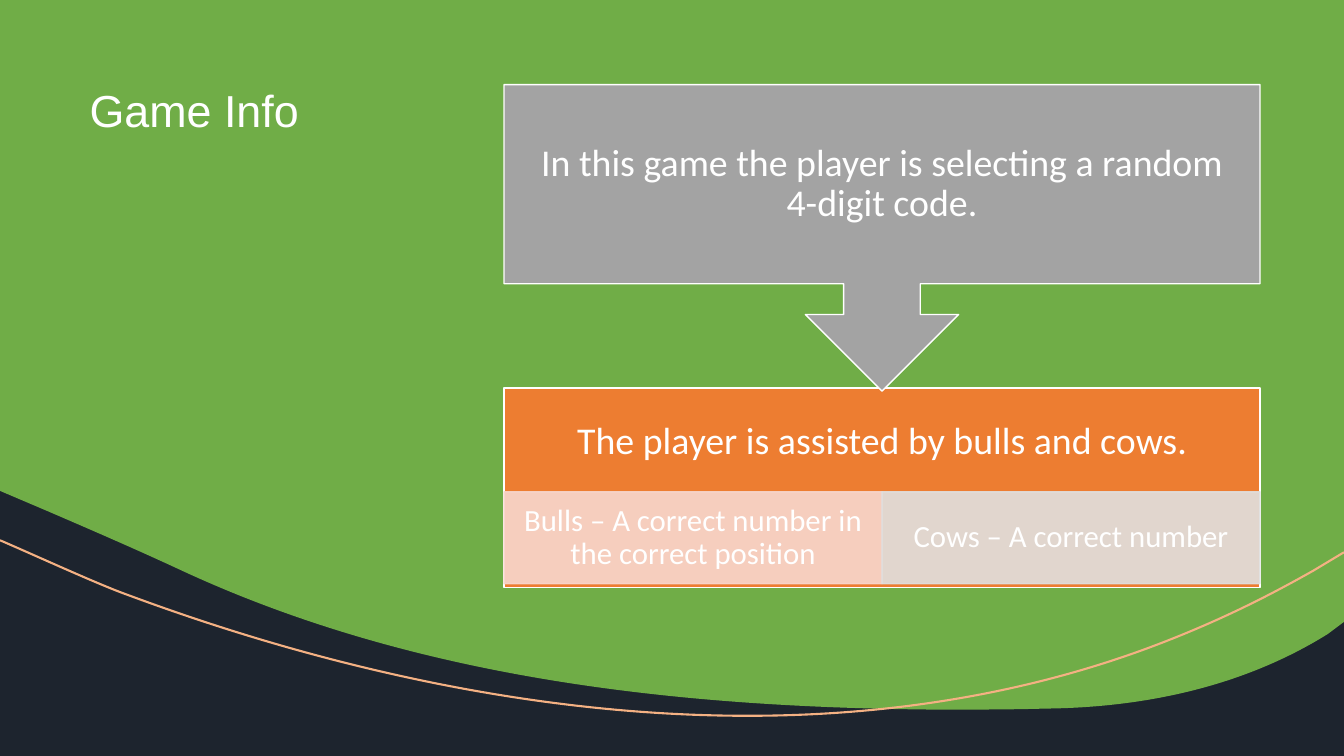
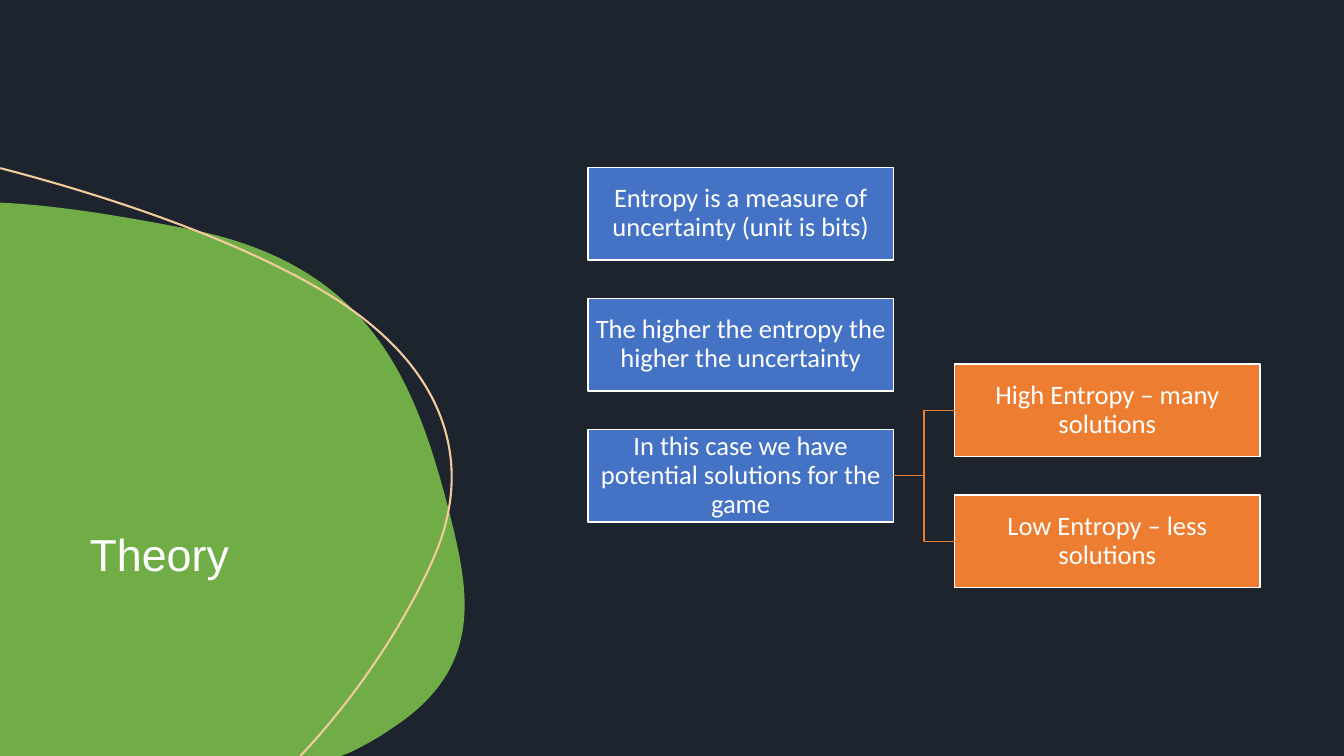
from dataclasses import dataclass

from lxml.etree import SubElement
from pptx import Presentation
from pptx.dml.color import RGBColor
from pptx.enum.shapes import MSO_CONNECTOR, MSO_SHAPE
from pptx.enum.text import MSO_ANCHOR, PP_ALIGN
from pptx.oxml.ns import qn
from pptx.util import Inches, Pt


@dataclass(frozen=True)
class Theme:
    dark: RGBColor = RGBColor.from_string("1D242E")
    green: RGBColor = RGBColor.from_string("70AD47")
    blue: RGBColor = RGBColor.from_string("4472C4")
    orange: RGBColor = RGBColor.from_string("ED7D31")
    gray: RGBColor = RGBColor.from_string("A3A3A3")
    salmon: RGBColor = RGBColor.from_string("F8D7CE")
    silver: RGBColor = RGBColor.from_string("E0E0E0")
    peach: RGBColor = RGBColor.from_string("F4B183")
    sand: RGBColor = RGBColor.from_string("F1CB9C")
    white: RGBColor = RGBColor.from_string("FFFFFF")
    title_font: str = "Arial"
    body_font: str = "Calibri"
    title_size: int = 32
    step_size: int = 27
    detail_size: int = 22
    box_size: int = 19


THEME = Theme()
WIDTH, HEIGHT = 13.33, 7.5
COLUMN = WIDTH / 16
CONTENT_LEFT, CONTENT_RIGHT = 6 * COLUMN, 15 * COLUMN


def write_text(shape, text, font, size, anchor, alignment, insets):
    """Fill a shape with one paragraph; insets run left, top, right, bottom."""
    frame = shape.text_frame
    frame.word_wrap = True
    frame.vertical_anchor = anchor
    frame.margin_left, frame.margin_top, frame.margin_right, frame.margin_bottom = map(Inches, insets)
    paragraph = frame.paragraphs[0]
    paragraph.text = text
    paragraph.alignment = alignment
    paragraph.line_spacing = 0.9
    paragraph.font.name = font
    paragraph.font.size = Pt(size)
    paragraph.font.color.rgb = THEME.white


def add_panel(slide, kind, box, text, size, fill, insets, line=THEME.white, opacity=None):
    shape = slide.shapes.add_shape(kind, *map(Inches, box))
    shape.shadow.inherit = False
    shape.fill.solid()
    shape.fill.fore_color.rgb = fill
    shape.line.color.rgb = line
    shape.line.width = Pt(1)
    if opacity is not None:
        for color in shape._element.spPr.iter(qn("a:srgbClr")):
            SubElement(color, qn("a:alpha"), val=str(opacity * 1000))
    write_text(shape, text, THEME.body_font, size, MSO_ANCHOR.MIDDLE, PP_ALIGN.CENTER, insets)
    return shape


# Each outline is a start point, then lines (2 numbers) and Bezier curves (6 numbers).
game_wave = [
    (0, 0), (WIDTH, 0), (WIDTH, 6.17), (13.17, 6.29),
    (12.32, 6.82, 11.33, 7.02, 10.37, 7.03),
    (10.02, 7.04, 9.66, 7.04, 9.3, 7.04),
    (6.77, 7.02, 4.14, 6.75, 1.78, 5.65),
    (1.35, 5.45, 0.91, 5.26, 0.47, 5.07),
    (0, 4.87),
]
game_arc = [
    (WIDTH, 5.48), (13.03, 5.66),
    (12.64, 5.88, 12.2, 6.11, 11.62, 6.34),
    (8.41, 7.62, 4.65, 7.16, 1.26, 5.9),
    (0.98, 5.8, 0.37, 5.52, 0, 5.36),
]
theory_blob = [
    (0, 2.01), (0.17, 2.02),
    (0.72, 2.06, 1.29, 2.16, 1.86, 2.27),
    (3.62, 2.61, 4.09, 3.7, 4.43, 4.98),
    (4.65, 5.83, 4.84, 6.61, 3.88, 7.23),
    (3.75, 7.32, 3.61, 7.4, 3.46, 7.47),
    (3.38, HEIGHT), (0, HEIGHT),
]
theory_arc = [
    (0, 1.67), (0.01, 1.67),
    (1.39, 2.03, 2.58, 2.49, 3.32, 2.96),
    (4.43, 3.67, 4.66, 4.56, 4.36, 5.39),
    (4.22, 5.77, 3.77, 6.66, 2.98, HEIGHT),
]

presentation = Presentation()
presentation.slide_width, presentation.slide_height = Inches(WIDTH), Inches(HEIGHT)
background = presentation.slide_master.background.fill
background.solid()
background.fore_color.rgb = THEME.dark

# Backdrop and title of every slide
for title, title_box, anchor, area, arc, arc_color in (
    ("Game Info", (0.79, 0.83, 3.94, 2.5), MSO_ANCHOR.TOP, game_wave, game_arc, THEME.peach),
    ("Theory", (0.79, 3.32, 3.33, 2.5), MSO_ANCHOR.BOTTOM, theory_blob, theory_arc, THEME.sand),
):
    slide = presentation.slides.add_slide(presentation.slide_layouts[6])
    for outline, closed in ((area, True), (arc, False)):
        points = [
            (Inches(x), Inches(y))
            for segment in outline
            for x, y in zip(segment[::2], segment[1::2])
        ]
        builder = slide.shapes.build_freeform(*points[0], scale=1.0)
        builder.add_line_segments(points[1:], close=closed)
        shape = builder.convert_to_shape()

        # Join the three lines of each Bezier segment into one curve
        geometry = next(shape._element.iter(qn("a:path")))
        lines = iter(geometry.findall(qn("a:lnTo")))
        for segment in outline[1:]:
            line = next(lines)
            if len(segment) == 6:
                line.tag = qn("a:cubicBezTo")
                for follower in (next(lines), next(lines)):
                    line.append(follower[0])
                    geometry.remove(follower)

        shape.shadow.inherit = False
        if closed:
            shape.fill.solid()
            shape.fill.fore_color.rgb = THEME.green
            shape.line.fill.background()
        else:
            shape.fill.background()
            shape.line.color.rgb = arc_color
            shape.line.width = Pt(1.5)
    title_shape = slide.shapes.add_textbox(*map(Inches, title_box))
    write_text(title_shape, title, THEME.title_font, THEME.title_size, anchor,
               PP_ALIGN.LEFT, (0.1, 0.05, 0.1, 0.05))

game_slide, theory_slide = presentation.slides

# Game Info: two steps, the second split into two details
step_width = CONTENT_RIGHT - CONTENT_LEFT
detail_width, detail_height = step_width / 2, 0.91
step_inset = 0.21
add_panel(game_slide, MSO_SHAPE.RECTANGLE, (CONTENT_LEFT, 3.85, step_width, 1.98),
          "The player is assisted by bulls and cows.", THEME.step_size, THEME.orange,
          (step_inset, step_inset, step_inset, step_inset + detail_height))
for index, (detail, color) in enumerate((
    ("Bulls – A correct number in the correct position", THEME.salmon),
    ("Cows – A correct number", THEME.silver),
)):
    add_panel(game_slide, MSO_SHAPE.RECTANGLE,
              (CONTENT_LEFT + index * detail_width, 4.88, detail_width, detail_height),
              detail, THEME.detail_size, color, (0.17, 0.03, 0.17, 0.03), line=color, opacity=90)
add_panel(game_slide, MSO_SHAPE.DOWN_ARROW_CALLOUT, (CONTENT_LEFT, 0.84, step_width, 3.04),
          "In this game the player is selecting a random 4-digit code.",
          THEME.step_size, THEME.gray, (step_inset,) * 4)

# Theory: statements in the left column, cases of the last one in the right
box_width, box_height = 3.03, 0.92
row_pitch, first_row = 1.3, 1.66
box_inset = 0.04
cases_left = CONTENT_RIGHT - box_width
statements_left = cases_left - 1.2 * box_width
boxes = [
    add_panel(theory_slide, MSO_SHAPE.RECTANGLE,
              (left, first_row + row * row_pitch, box_width, box_height),
              text, THEME.box_size, color, (box_inset,) * 4)
    for left, row, color, text in (
        (statements_left, 0, THEME.blue, "Entropy is a measure of uncertainty (unit is bits)"),
        (statements_left, 1, THEME.blue, "The higher the entropy the higher the uncertainty"),
        (statements_left, 2, THEME.blue, "In this case we have potential solutions for the game"),
        (cases_left, 1.5, THEME.orange, "High Entropy – many solutions"),
        (cases_left, 2.5, THEME.orange, "Low Entropy – less solutions"),
    )
]
statement, *cases = boxes[2:]
for case in cases:
    connector = theory_slide.shapes.add_connector(MSO_CONNECTOR.ELBOW, 0, 0, 0, 0)
    connector.begin_connect(statement, 3)
    connector.end_connect(case, 1)
    connector.line.color.rgb = THEME.orange
    connector.line.width = Pt(1)
    SubElement(connector._element.spPr, qn("a:effectLst"))

presentation.save("out.pptx")
